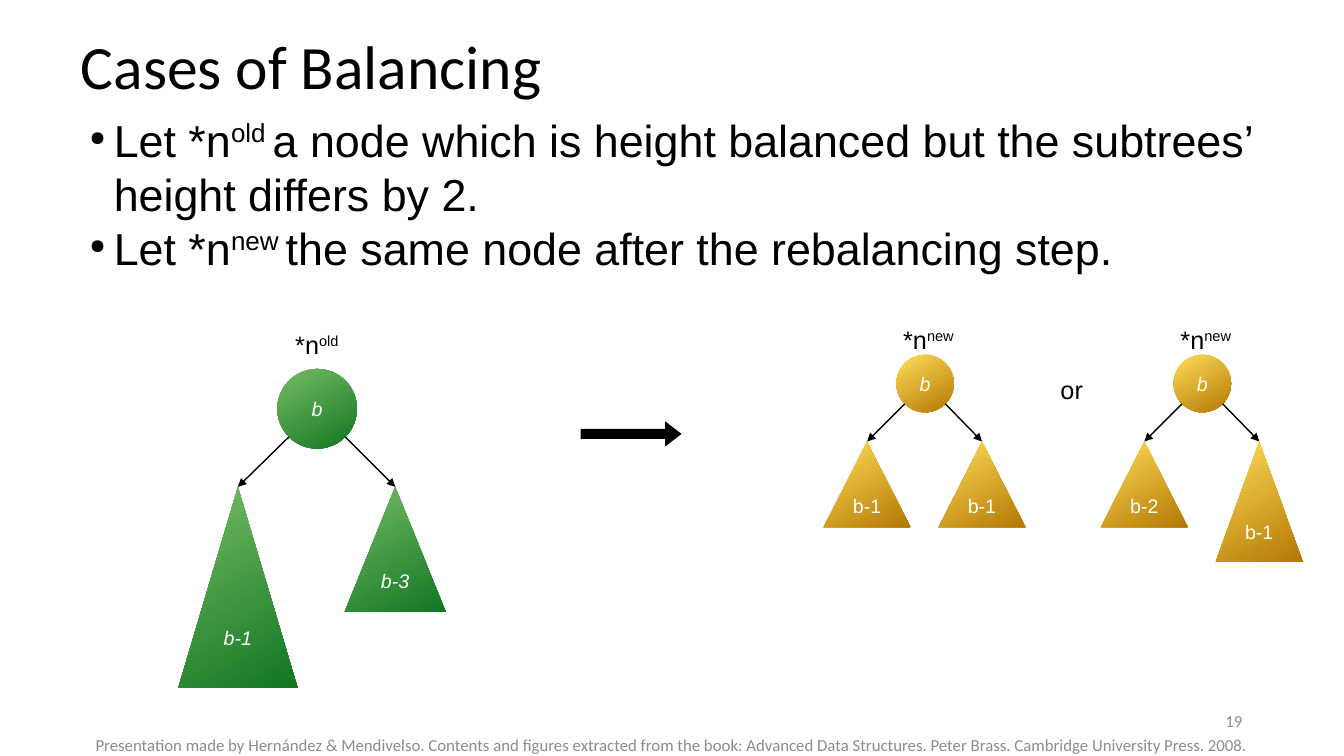
from lxml import etree
from pptx import Presentation
from pptx.dml.color import RGBColor
from pptx.enum.shapes import MSO_CONNECTOR, MSO_SHAPE
from pptx.enum.text import MSO_ANCHOR, PP_ALIGN
from pptx.oxml.ns import qn
from pptx.util import Inches, Pt

ELLIPSE, TRIANGLE = MSO_SHAPE.OVAL, MSO_SHAPE.ISOSCELES_TRIANGLE
RIGHT_ARROW, STRAIGHT = MSO_SHAPE.RIGHT_ARROW, MSO_CONNECTOR.STRAIGHT
TOP, MIDDLE, BOTTOM = MSO_ANCHOR.TOP, MSO_ANCHOR.MIDDLE, MSO_ANCHOR.BOTTOM
LEFT, CENTER, RIGHT = PP_ALIGN.LEFT, PP_ALIGN.CENTER, PP_ALIGN.RIGHT
COLORS = {
    "black": "000000", "white": "FFFFFF", "gray": "8C8C8C",
    "green": ("77BC65", "127622"), "gold": ("FFDE59", "B47804"),
}


def write(paragraph, parts, size, color, font="Arial", align=LEFT, italic=False):
    paragraph.alignment = align
    paragraph.font.name = font
    paragraph.font.size = Pt(size)
    paragraph.font.italic = italic
    paragraph.font.color.rgb = RGBColor.from_string(COLORS[color])
    for index, part in enumerate(parts):
        run = paragraph.add_run()
        run.text = part
        if index == 1:
            run.font._element.set("baseline", "33000")


def add_node(kind, box, palette, label, italic):
    node = slide.shapes.add_shape(kind, *map(Inches, box))
    node.shadow.inherit = False
    node.line.fill.background()
    node.fill.gradient()
    node.fill.gradient_angle = 300
    for stop, position, color in zip(node.fill.gradient_stops, (0, 1), COLORS[palette]):
        stop.position = position
        stop.color.rgb = RGBColor.from_string(color)
    frame = node.text_frame
    frame.margin_left = frame.margin_right = frame.margin_top = frame.margin_bottom = 0
    frame.word_wrap = False
    frame.vertical_anchor = MIDDLE
    write(frame.paragraphs[0], [label], 14, "white", align=CENTER, italic=italic)


prs = Presentation()
prs.slide_width, prs.slide_height = Inches(13.33), Inches(7.5)
slide = prs.slides.add_slide(prs.slide_layouts[5])

title = slide.shapes.title
title.left, title.top, title.width, title.height = map(Inches, (0.8, 0.02, 11.5, 0.99))
heading = title.text_frame
heading.margin_left = heading.margin_right = heading.margin_top = heading.margin_bottom = 0
heading.vertical_anchor = BOTTOM
write(heading.paragraphs[0], ["Cases of Balancing"], 44, "black", "Calibri")

definitions = slide.shapes.add_textbox(*map(Inches, (0.79, 1.07, 12, 2.59))).text_frame
definitions.word_wrap = True
statements = [
    ("Let *n", "old ", "a node which is height balanced but the subtrees’ height differs by 2."),
    ("Let *n", "new ", "the same node after the rebalancing step."),
]
for index, statement in enumerate(statements):
    paragraph = definitions.paragraphs[0] if index == 0 else definitions.add_paragraph()
    properties = paragraph._p.get_or_add_pPr()
    properties.set("marL", str(Inches(0.24)))
    properties.set("indent", str(Inches(-0.24)))
    bullet_color = etree.SubElement(properties, qn("a:buClr"))
    etree.SubElement(bullet_color, qn("a:srgbClr"), val=COLORS["black"])
    etree.SubElement(properties, qn("a:buSzPct"), val="45000")
    etree.SubElement(properties, qn("a:buChar"), char="●")
    write(paragraph, statement, 32, "black")

GOLD_LEFT = (8.17, 0.86, 0.85, "b-1")
trees = [
    ("green", 3.145, 3.66, 0.79, 4.83, True,
     [(1.77, 1.18, 1.99, "b-1"), (3.42, 1, 1.24, "b-3")]),
    ("gold", 9.175, 3.52, 0.57, 4.38, False,
     [(8.17, 0.86, 0.85, "b-1"), (9.31, 0.86, 0.85, "b-1")]),
    ("gold", 11.925, 3.52, 0.57, 4.38, False,
     [(10.92, 0.86, 0.85, "b-2"), (12.06, 0.86, 1.19, "b-1")]),
]
for palette, center, root_top, diameter, apex_top, italic, subtrees in trees:
    add_node(ELLIPSE, (center - diameter / 2, root_top, diameter, diameter), palette, "b", True)
    reach = diameter / 2 * 0.71
    for side, (left, width, height, label) in zip((-1, 1), subtrees):
        add_node(TRIANGLE, (left, apex_top, width, height), palette, label, italic)
        edge = slide.shapes.add_connector(STRAIGHT, *map(Inches, (
            center + side * reach, root_top + diameter / 2 + reach,
            left + width / 2, apex_top)))
        edge.line.color.rgb = RGBColor.from_string(COLORS["black"])
        edge.line.width = Pt(1)
        etree.SubElement(edge.line._get_or_add_ln(), qn("a:tailEnd"), type="triangle")
        etree.SubElement(edge._element.spPr, qn("a:effectLst"))

captions = [
    ((2.83, 3.22, 0.63, 0.38), ["*n", "old"]),
    ((8.86, 3.17, 0.7, 0.38), ["*n", "new"]),
    ((11.61, 3.17, 0.7, 0.38), ["*n", "new"]),
    ((10.42, 3.66, 0.5, 0.66), ["or"]),
]
for box, parts in captions:
    caption = slide.shapes.add_textbox(*map(Inches, box)).text_frame
    caption.word_wrap = False
    write(caption.paragraphs[0], parts, 18, "black")

step = slide.shapes.add_shape(RIGHT_ARROW, *map(Inches, (5.76, 4.18, 1, 0.25)))
step.adjustments[0], step.adjustments[1] = 0.39, 0.65
step.shadow.inherit = False
step.fill.solid()
step.fill.fore_color.rgb = RGBColor.from_string(COLORS["black"])
step.line.fill.background()

credit = ("Presentation made by Hernández & Mendivelso. Contents and figures extracted from "
          "the book: Advanced Data Structures. Peter Brass. Cambridge University Press. 2008.")
footers = [
    ((-0.07, 7.33, 13.47, 0.12), credit, CENTER),
    ((9.42, 6.95, 3, 0.4), "19", RIGHT),
]
for box, text, align in footers:
    footer = slide.shapes.add_textbox(*map(Inches, box)).text_frame
    footer.word_wrap = True
    footer.vertical_anchor = MIDDLE
    write(footer.paragraphs[0], [text], 12, "gray", "Calibri", align)

prs.save("out.pptx")
